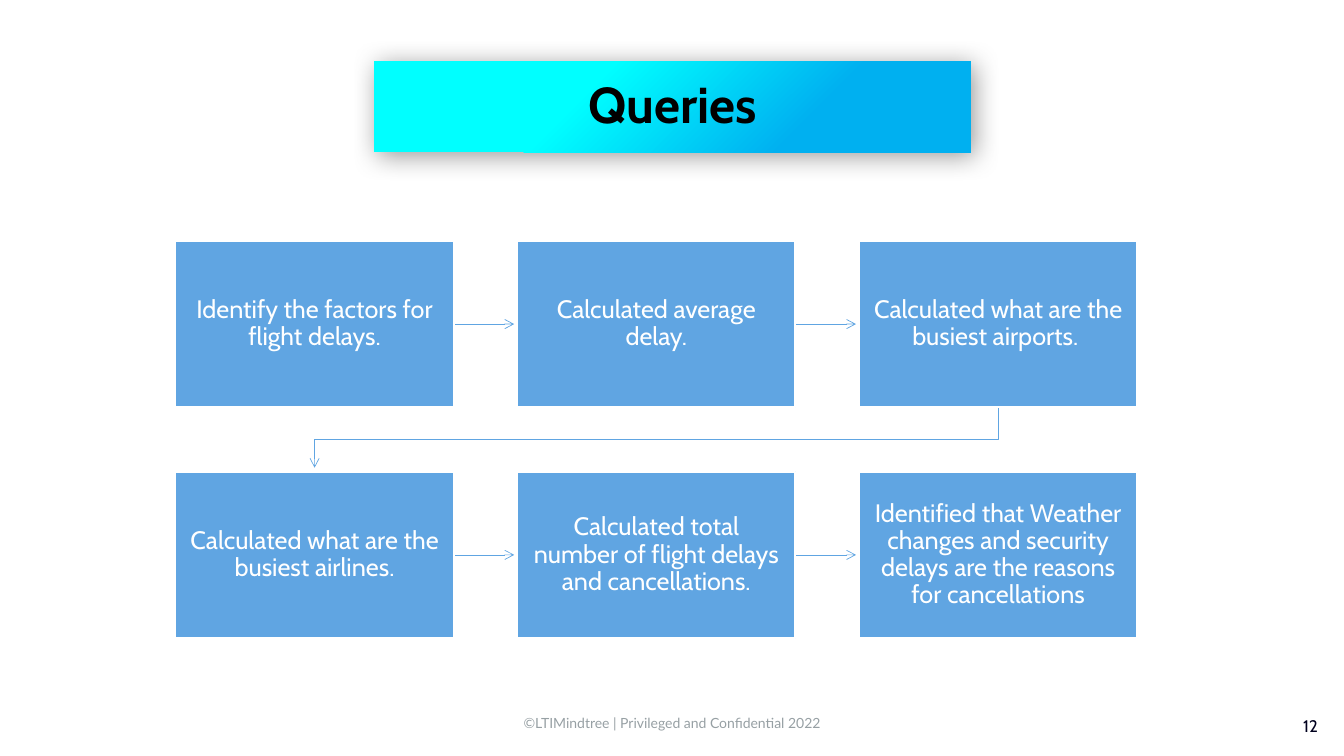
from dataclasses import dataclass

from lxml import etree
from pptx import Presentation
from pptx.dml.color import RGBColor
from pptx.enum.shapes import MSO_CONNECTOR as Connector, MSO_SHAPE as Shape
from pptx.enum.text import MSO_ANCHOR as Anchor, MSO_AUTO_SIZE as AutoSize, PP_ALIGN as Align
from pptx.oxml import parse_xml
from pptx.oxml.ns import nsdecls, qn
from pptx.util import Inches, Pt


@dataclass(frozen=True)
class Theme:
    box: str = "60A5E2"
    white: str = "FFFFFF"
    black: str = "000000"
    footer: str = "97A0A4"
    number: str = "00001E"
    gradient: tuple = ((0, "00FFFF"), (35, "00FFFF"), (72, "00B0F0"), (100, "00B0F0"))
    body_font: str = "Cabin"
    footer_font: str = "Lato"
    title_size: int = 36
    step_size: int = 18
    number_size: int = 12
    footer_size: int = 10


THEME = Theme()

STEPS = (
    ("Identify the factors for flight delays.",
     "Calculated average delay.",
     "Calculated what are the busiest airports. "),
    ("Calculated what are the busiest airlines.",
     "Calculated total number of flight delays and cancellations.",
     "Identified that Weather changes and security delays are the reasons for cancellations"),
)


def apply(target, values):
    for name, value in values.items():
        setattr(target, name, value)


def write_text(shape, text, size, color, inset=(0.1, 0.05), anchor=Anchor.MIDDLE,
               align=Align.CENTER, spacing=0.9, font=THEME.body_font, bold=False):
    horizontal, vertical = map(Inches, inset)
    frame = shape.text_frame
    apply(frame, {"word_wrap": True, "vertical_anchor": anchor,
                  "margin_left": horizontal, "margin_right": horizontal,
                  "margin_top": vertical, "margin_bottom": vertical})
    paragraph = frame.paragraphs[0]
    apply(paragraph, {"alignment": align, "line_spacing": spacing})
    run = paragraph.add_run()
    run.text = text
    apply(run.font, {"name": font, "size": Pt(size), "bold": bold})
    run.font.color.rgb = RGBColor.from_string(color)


def add_rectangle(slide, box):
    shape = slide.shapes.add_shape(Shape.RECTANGLE, *map(Inches, box))
    shape.shadow.inherit = False
    return shape


def style_arrow(shape):
    shape.line.color.rgb = RGBColor.from_string(THEME.box)
    shape.line.width = Pt(0.5)
    etree.SubElement(shape.line._get_or_add_ln(), qn("a:tailEnd"), type="arrow")


def add_straight_arrow(slide, left, right, y):
    arrow = slide.shapes.add_connector(
        Connector.STRAIGHT, Inches(left), Inches(y), Inches(right), Inches(y))
    style_arrow(arrow)
    etree.SubElement(arrow._element.spPr, qn("a:effectLst"))


def add_return_arrow(slide, start, end, bend):
    builder = slide.shapes.build_freeform(*map(Inches, start), scale=1.0)
    corners = ((start[0], bend), (end[0], bend), end)
    builder.add_line_segments([tuple(map(Inches, corner)) for corner in corners], close=False)
    arrow = builder.convert_to_shape()
    arrow.shadow.inherit = False
    arrow.fill.background()
    style_arrow(arrow)


def add_step(slide, box, text):
    shape = add_rectangle(slide, box)
    shape.fill.solid()
    shape.fill.fore_color.rgb = RGBColor.from_string(THEME.box)
    shape.line.color.rgb = RGBColor.from_string(THEME.white)
    shape.line.width = Pt(1.5)
    write_text(shape, text, THEME.step_size, THEME.white, inset=(0.14, 0.14))


def add_flow(slide, box):
    left, top, width, height = box
    step_width, step_height, arrow_length = 2.76, 1.65, 0.6
    columns = [left + i * (width - step_width) / 2 for i in range(3)]
    rows = [top, top + height - step_height]
    for y in rows:
        for x in columns[:-1]:
            start = x + step_width
            add_straight_arrow(slide, start, start + arrow_length, y + step_height / 2)
    row_end = top + step_height
    add_return_arrow(slide, (columns[-1] + step_width / 2, row_end),
                     (left + step_width / 2, row_end + arrow_length), row_end + 0.32)
    for y, texts in zip(rows, STEPS):
        for x, text in zip(columns, texts):
            add_step(slide, (x, y, step_width, step_height), text)


def add_title(slide, box):
    shape = add_rectangle(slide, box)
    shape.line.fill.background()
    shape.fill.gradient()
    gradient = shape._element.spPr.find(qn("a:gradFill"))
    stops = "".join(
        f'<a:gs pos="{position * 1000}"><a:srgbClr val="{color}"/></a:gs>'
        for position, color in THEME.gradient)
    gradient.getparent().replace(gradient, parse_xml(
        f'<a:gradFill {nsdecls("a")} rotWithShape="1"><a:gsLst>{stops}</a:gsLst>'
        '<a:lin ang="2700000" scaled="0"/></a:gradFill>'))
    shape._element.spPr.find(qn("a:effectLst")).append(parse_xml(
        f'<a:outerShdw {nsdecls("a")} blurRad="{Pt(19)}" dist="{Pt(3)}" dir="2700000" '
        f'algn="tl" rotWithShape="0"><a:srgbClr val="{THEME.black}">'
        '<a:alpha val="40000"/></a:srgbClr></a:outerShdw>'))
    write_text(shape, "Queries", THEME.title_size, THEME.black, inset=(0.12, 0.12), bold=True)


def add_footer(slide, box):
    left, top, width, height = box
    notice = slide.shapes.add_textbox(*map(Inches, (left, top, 6.67, 0.27)))
    write_text(notice, "©LTIMindtree | Privileged and Confidential 2022",
               THEME.footer_size, THEME.footer, anchor=Anchor.TOP, spacing=1.07,
               font=THEME.footer_font)
    notice.text_frame.auto_size = AutoSize.SHAPE_TO_FIT_TEXT
    number_width = 0.91
    number = slide.shapes.add_textbox(
        *map(Inches, (left + width - number_width, top + 0.01, number_width, height - 0.01)))
    write_text(number, "12", THEME.number_size, THEME.number, inset=(0.11, 0.06),
               anchor=Anchor.TOP, align=Align.RIGHT, spacing=1.0)


def main():
    presentation = Presentation()
    apply(presentation, {"slide_width": Inches(13.33), "slide_height": Inches(7.5)})
    slide = presentation.slides.add_slide(presentation.slide_layouts[6])
    add_footer(slide, (3.33, 7.03, 9.85, 0.36))
    add_flow(slide, (1.74, 2.39, 9.54, 3.94))
    add_title(slide, (3.71, 0.61, 5.92, 0.9))
    presentation.save("out.pptx")


if __name__ == "__main__":
    main()
